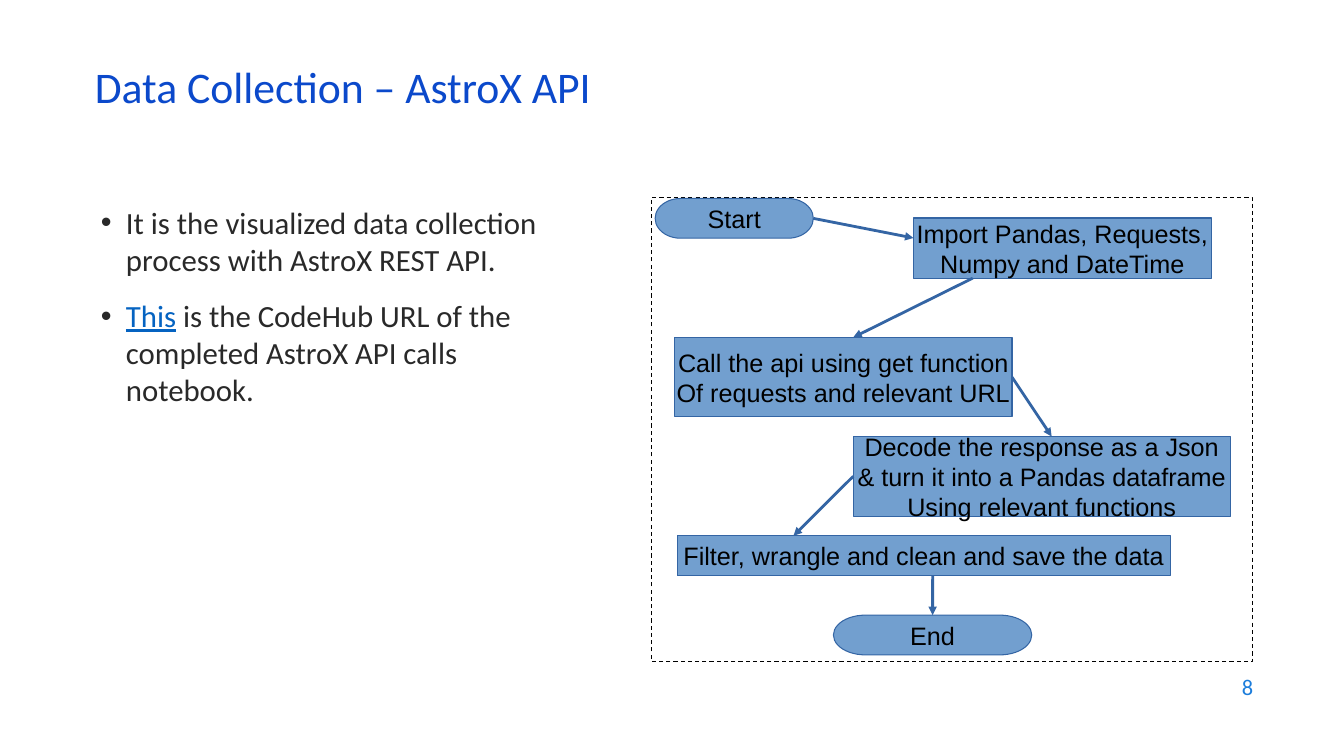
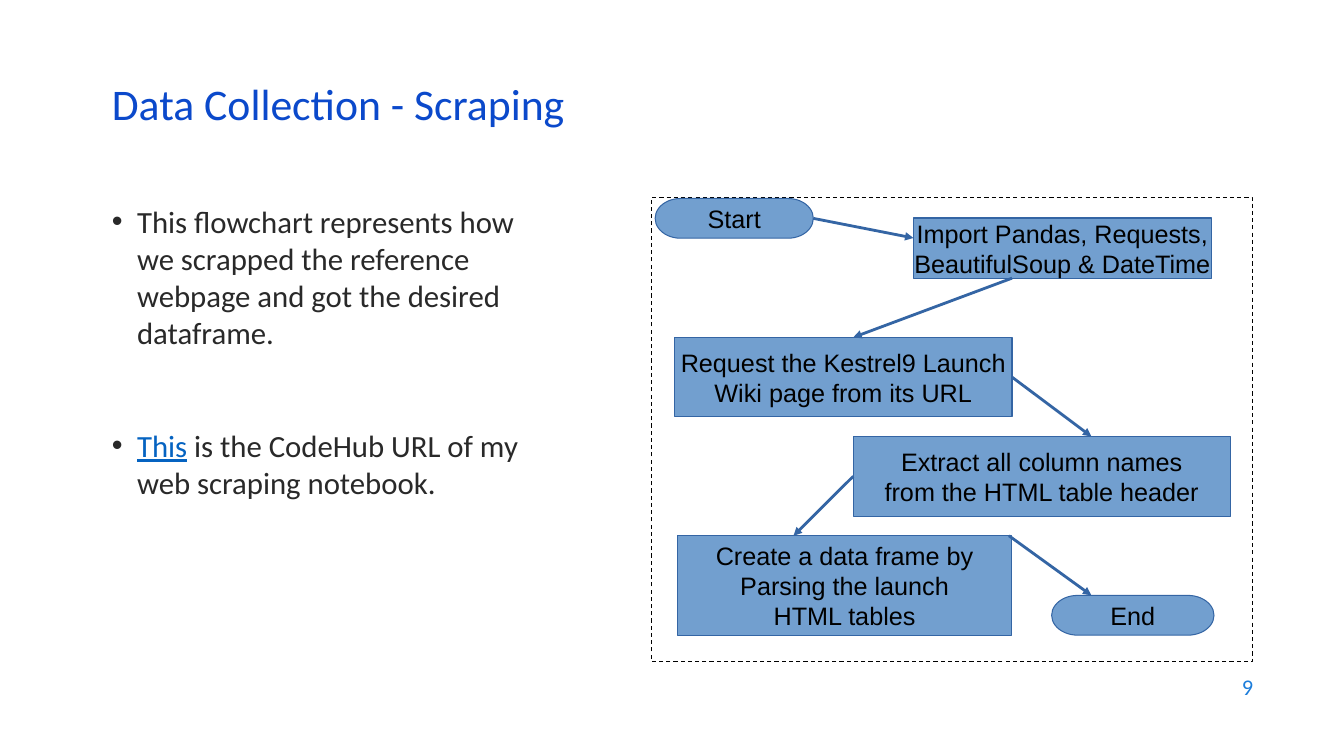
from dataclasses import dataclass
from typing import NamedTuple, Union

from lxml import etree
from pptx import Presentation
from pptx.dml import color
from pptx.enum import dml, shapes, text
from pptx.oxml import ns
from pptx.util import Pt

COLORS = {
    "title": "0B49CB",
    "body": "292929",
    "link": "0563C1",
    "number": "1C7DDB",
    "node": "729FCF",
    "edge": "3465A4",
    "ink": "000000",
}
BODY_FONT, CHART_FONT = "Calibri", "Arial"
RECT = shapes.MSO_SHAPE.FLOWCHART_PROCESS
PILL = shapes.MSO_SHAPE.FLOWCHART_TERMINATOR
TOP, LEFT, RIGHT = 0, 1, 3
PILL_HEIGHT = 28.4
TITLE_SIZE = (828, 43.2)


class Box(NamedTuple):
    left: float
    top: float
    width: float
    height: float


class Point(NamedTuple):
    x: float
    y: float


class Joint(NamedTuple):
    node: str
    site: int


End = Union[Point, Joint]


@dataclass
class Node:
    name: str
    box: Box
    lines: list[str]
    kind: int = RECT


@dataclass
class Arrow:
    begin: End
    end: End


@dataclass
class Bullet:
    text: str
    link: str = ""
    before: float = 0


@dataclass
class Topic:
    title: str
    title_at: Point
    body_box: Box
    bullets: list[Bullet]
    nodes: list[Node]
    arrows: list[Arrow]


FRAME = Box(465.1, 141.1, 429.8, 331.2)
NUMBER = Box(686.2, 474.5, 216, 31.7)
IMPORT = Box(652.5, 155.7, 212.6, 43)
REQUEST = Box(481.9, 241, 241, 56.8)
RESHAPE = Box(609.5, 311.8, 269.3, 56.8)
START = Node("start", Box(468, 141.8, 113, PILL_HEIGHT), ["Start"], PILL)
SHARED_ARROWS = [
    Arrow(Joint("start", RIGHT), Point(652.5, 170)),
    Arrow(Joint("reshape", LEFT), Point(566.8, 382.7)),
]

TOPICS = [
    Topic(
        "Data Collection – AstroX API",
        Point(60.5, 42.5),
        Box(64.8, 141.8, 365, 332.6),
        [
            Bullet("It is the visualized data collection process with AstroX REST API."),
            Bullet(" is the CodeHub URL of the completed AstroX API calls notebook.", "This", 14),
        ],
        [
            START,
            Node("import", IMPORT, ["Import Pandas, Requests,", "Numpy and DateTime"]),
            Node("request", REQUEST,
                 ["Call the api using get function", "Of requests and relevant URL"]),
            Node("reshape", RESHAPE,
                 ["Decode the response as a Json", "& turn it into a Pandas dataframe",
                  "Using relevant functions"]),
            Node("save", Box(483.8, 382.7, 352, PILL_HEIGHT),
                 ["Filter, wrangle and clean and save the data"]),
            Node("end", Box(595.3, 439.4, 141.7, PILL_HEIGHT), ["End"], PILL),
        ],
        SHARED_ARROWS + [
            Arrow(Point(694.8, 198.7), Point(609.5, 241)),
            Arrow(Joint("request", RIGHT), Point(751.2, 311.8)),
            Arrow(Point(666.2, 411.1), Joint("end", TOP)),
        ],
    ),
    Topic(
        "Data Collection - Scraping",
        Point(72.7, 54.7),
        Box(72.7, 141.1, 309.6, 300.2),
        [
            Bullet("This flowchart represents how we scrapped the reference webpage "
                   "and got the desired dataframe."),
            Bullet(" is the CodeHub URL of my web scraping notebook.", "This", 54.5),
        ],
        [
            START,
            Node("import", IMPORT, ["Import Pandas, Requests,", "BeautifulSoup & DateTime"]),
            Node("request", REQUEST, ["Request the Kestrel9 Launch", "Wiki page from its URL"]),
            Node("reshape", RESHAPE, ["Extract all column names", "from the HTML table header"]),
            Node("create", Box(483.8, 382.7, 239, 70.9),
                 ["Create a data frame by", "Parsing the launch", "HTML tables"]),
            Node("end", Box(751.2, 425.3, 116, PILL_HEIGHT), ["End"], PILL),
        ],
        SHARED_ARROWS + [
            Arrow(Point(722.9, 198.7), Point(609.5, 241)),
            Arrow(Joint("request", RIGHT), Point(779.6, 311.8)),
            Arrow(Point(720.7, 382.7), Point(779.6, 425.3)),
        ],
    ),
]


def rgb(name: str) -> color.RGBColor:
    return color.RGBColor.from_string(COLORS[name])


def points(values) -> list:
    return [Pt(value) for value in values]


def place(shape, box: Box) -> None:
    shape.left, shape.top, shape.width, shape.height = points(box)


def write(para, words: str, *, size: float, tint: str, font: str = BODY_FONT,
          underline: bool = False, align=text.PP_ALIGN.LEFT):
    para.alignment = align
    span = para.add_run()
    span.text = words
    span.font.size = Pt(size)
    span.font.name = font
    span.font.color.rgb = rgb(tint)
    if underline:
        span.font.underline = True
    return span


def set_outline(line, tint: str) -> None:
    line.color.rgb = rgb(tint)
    line.width = Pt(0)


def add_bullet_mark(para) -> None:
    props = para._p.get_or_add_pPr()
    props.set("marL", str(Pt(18)))
    props.set("indent", str(-Pt(18)))
    tint = etree.SubElement(props, ns.qn("a:buClr"))
    etree.SubElement(tint, ns.qn("a:srgbClr"), val=COLORS["body"])
    etree.SubElement(props, ns.qn("a:buFont"), typeface="Arial")
    etree.SubElement(props, ns.qn("a:buChar"), char="•")


def add_title(page, topic: Topic) -> None:
    title = page.shapes.title
    place(title, Box(*topic.title_at, *TITLE_SIZE))
    frame = title.text_frame
    frame.auto_size = text.MSO_AUTO_SIZE.NONE
    frame.vertical_anchor = text.MSO_ANCHOR.MIDDLE
    para = frame.paragraphs[0]
    para.line_spacing = 0.9
    write(para, topic.title, size=31.2, tint="title")


def add_body(page, topic: Topic) -> None:
    body = page.placeholders[1]
    place(body, topic.body_box)
    frame = body.text_frame
    frame.auto_size = text.MSO_AUTO_SIZE.NONE
    frame.vertical_anchor = text.MSO_ANCHOR.TOP
    for index, bullet in enumerate(topic.bullets):
        para = frame.add_paragraph() if index else frame.paragraphs[0]
        para.space_before = Pt(bullet.before)
        add_bullet_mark(para)
        if bullet.link:
            write(para, bullet.link, size=22, tint="link", underline=True)
        write(para, bullet.text, size=22, tint="body")


def add_number(page, number: int) -> None:
    frame = page.shapes.add_textbox(*points(NUMBER)).text_frame
    frame.word_wrap = True
    frame.vertical_anchor = text.MSO_ANCHOR.MIDDLE
    para = frame.paragraphs[0]
    span = write(para, str(number), size=16, tint="number", align=text.PP_ALIGN.RIGHT)
    field = etree.SubElement(para._p, ns.qn("a:fld"), type="slidenum",
                             id="{B6F15528-21DE-4FAA-801E-634DDDAF4B2B}")
    field.extend(list(span._r))
    para._p.remove(span._r)


def add_frame(page) -> None:
    frame = page.shapes.add_shape(shapes.MSO_SHAPE.RECTANGLE, *points(FRAME))
    frame.shadow.inherit = False
    frame.fill.background()
    set_outline(frame.line, "ink")
    frame.line.dash_style = dml.MSO_LINE.DASH


def add_node(page, node: Node):
    shape = page.shapes.add_shape(node.kind, *points(node.box))
    shape.shadow.inherit = False
    shape.fill.solid()
    shape.fill.fore_color.rgb = rgb("node")
    set_outline(shape.line, "edge")
    frame = shape.text_frame
    frame.word_wrap = False
    frame.vertical_anchor = text.MSO_ANCHOR.MIDDLE
    for index, words in enumerate(node.lines):
        para = frame.add_paragraph() if index else frame.paragraphs[0]
        write(para, words, size=18, tint="ink", font=CHART_FONT, align=text.PP_ALIGN.CENTER)
    return shape


def add_arrow(page, arrow: Arrow, drawn: dict) -> None:
    ends = [end if isinstance(end, Point) else Point(0, 0) for end in (arrow.begin, arrow.end)]
    line = page.shapes.add_connector(shapes.MSO_CONNECTOR.STRAIGHT,
                                     *points(ends[0]), *points(ends[1]))
    for end, connect in ((arrow.begin, line.begin_connect), (arrow.end, line.end_connect)):
        if isinstance(end, Joint):
            connect(drawn[end.node], end.site)
    set_outline(line.line, "edge")
    props = line._element.spPr
    etree.SubElement(props.find(ns.qn("a:ln")), ns.qn("a:tailEnd"), type="triangle")
    etree.SubElement(props, ns.qn("a:effectLst"))


def add_page(deck, topic: Topic, number: int) -> None:
    page = deck.slides.add_slide(deck.slide_layouts[1])
    add_number(page, number)
    add_body(page, topic)
    add_title(page, topic)
    add_frame(page)
    drawn = {node.name: add_node(page, node) for node in topic.nodes}
    for arrow in topic.arrows:
        add_arrow(page, arrow, drawn)


def main() -> None:
    deck = Presentation()
    deck.slide_width, deck.slide_height = Pt(960), Pt(540)
    first_number = 8
    deck.element.set("firstSlideNum", str(first_number))
    for number, topic in enumerate(TOPICS, first_number):
        add_page(deck, topic, number)
    deck.save("out.pptx")


if __name__ == "__main__":
    main()
